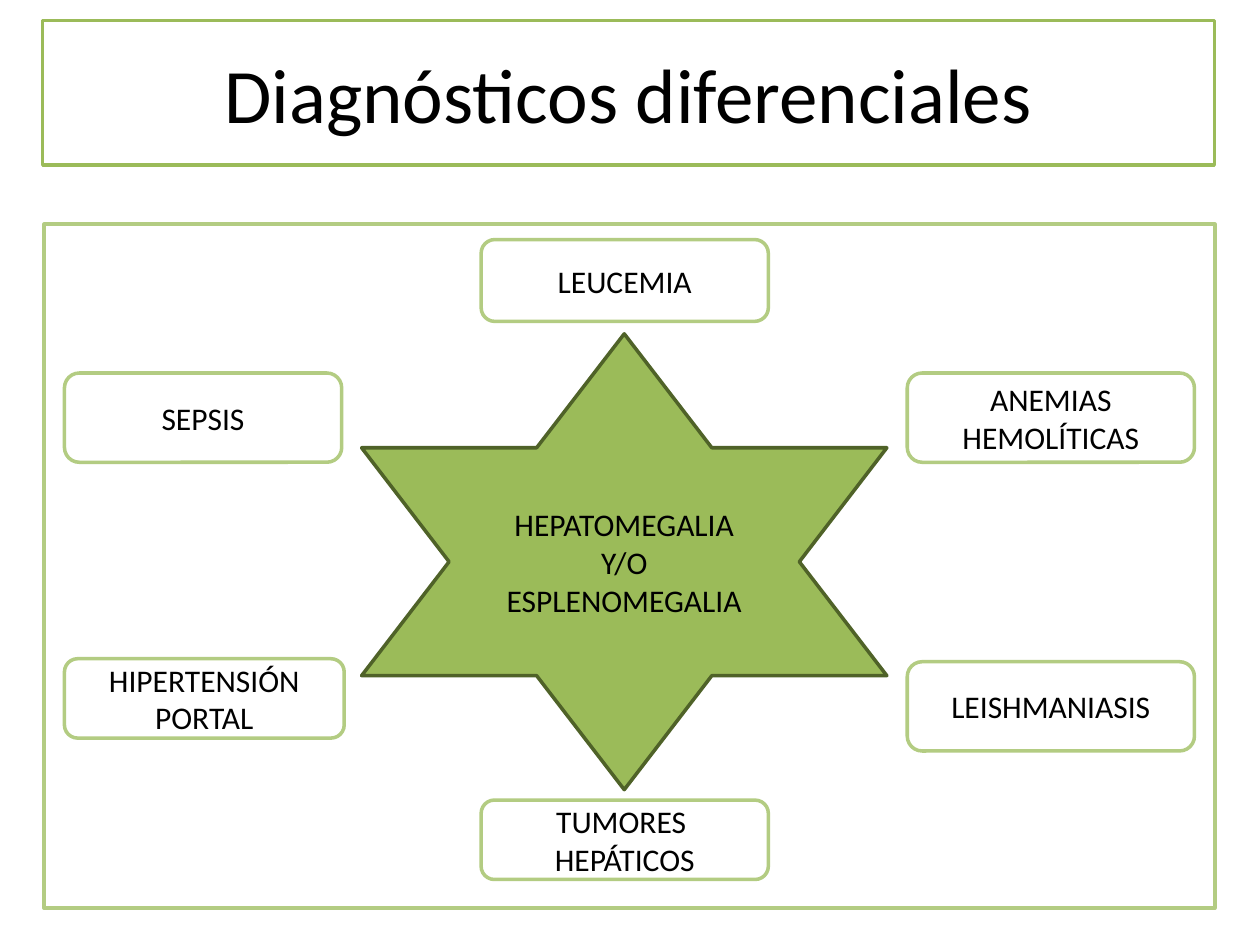
from typing import NamedTuple, Optional

from pptx import Presentation
from pptx.dml.color import RGBColor
from pptx.enum.shapes import MSO_SHAPE as Preset
from pptx.enum.text import MSO_ANCHOR as Anchor, PP_ALIGN as Align
from pptx.util import Cm, Pt

FONT = "Calibri"
COLORS = {
    "white": "FFFFFF",
    "black": "000000",
    "green": "9BBB59",
    "light_green": "B3CC82",
    "dark_green": "4F6228",
}


class Box(NamedTuple):
    """Position and size in centimetres."""
    left: float
    top: float
    width: float
    height: float


class Diagnosis(NamedTuple):
    text: str
    box: Box


LEFT, CENTER, RIGHT = 1.3, 9.7, 18.29
UPPER = 7.52
WIDE, TALL, LOW = 5.79, 1.8, 1.6

TITLE_BOX = Box(0.86, 0.41, 23.62, 2.92)
FRAME_BOX = Box(0.89, 4.52, 23.6, 13.79)
STAR_BOX = Box(7.29, 6.73, 10.59, 9.19)
DIAGNOSES = [
    Diagnosis("LEUCEMIA", Box(CENTER, 4.83, WIDE, 1.65)),
    Diagnosis("ANEMIAS\nHEMOLÍTICAS", Box(RIGHT, UPPER, WIDE, TALL)),
    Diagnosis("LEISHMANIASIS", Box(RIGHT, 13.34, WIDE, TALL)),
    Diagnosis("TUMORES \nHEPÁTICOS", Box(CENTER, 16.13, WIDE, LOW)),
    Diagnosis("HIPERTENSIÓN\nPORTAL", Box(LEFT, 13.28, 5.64, LOW)),
    Diagnosis("SEPSIS", Box(LEFT, UPPER, 5.59, TALL)),
]


def color(name: str) -> RGBColor:
    return RGBColor.from_string(COLORS[name])


def style_shape(shape, fill: Optional[str], line: str) -> None:
    if fill:
        shape.fill.solid()
        shape.fill.fore_color.rgb = color(fill)
    else:
        shape.fill.background()
    shape.line.color.rgb = color(line)
    shape.line.width = Pt(2)


def write_text(shape, text: str, size: int) -> None:
    frame = shape.text_frame
    frame.text = text
    frame.word_wrap = True
    frame.vertical_anchor = Anchor.MIDDLE
    for paragraph in frame.paragraphs:
        paragraph.alignment = Align.CENTER
        for run in paragraph.runs:
            run.font.name = FONT
            run.font.size = Pt(size)
            run.font.color.rgb = color("black")


def add_title(slide, text: str, box: Box) -> None:
    title = slide.shapes.title
    title.left, title.top, title.width, title.height = map(Cm, box)
    style_shape(title, "white", "green")
    write_text(title, text, 44)


def add_figure(slide, preset: Preset, box: Box, fill: Optional[str],
               line: str, text: str = "") -> None:
    shape = slide.shapes.add_shape(preset, *map(Cm, box))
    shape.shadow.inherit = False
    style_shape(shape, fill, line)
    if text:
        write_text(shape, text, 18)


def main() -> None:
    presentation = Presentation()
    presentation.slide_width, presentation.slide_height = Cm(25.4), Cm(19.05)
    slide = presentation.slides.add_slide(presentation.slide_layouts[5])

    add_title(slide, "Diagnósticos diferenciales", TITLE_BOX)
    add_figure(slide, Preset.STAR_6_POINT, STAR_BOX, "green", "dark_green",
               "HEPATOMEGALIA\nY/O\nESPLENOMEGALIA")
    for diagnosis in DIAGNOSES:
        add_figure(slide, Preset.ROUNDED_RECTANGLE, diagnosis.box,
                   "white", "light_green", diagnosis.text)
    add_figure(slide, Preset.RECTANGLE, FRAME_BOX, None, "light_green")

    presentation.save("out.pptx")


if __name__ == "__main__":
    main()
